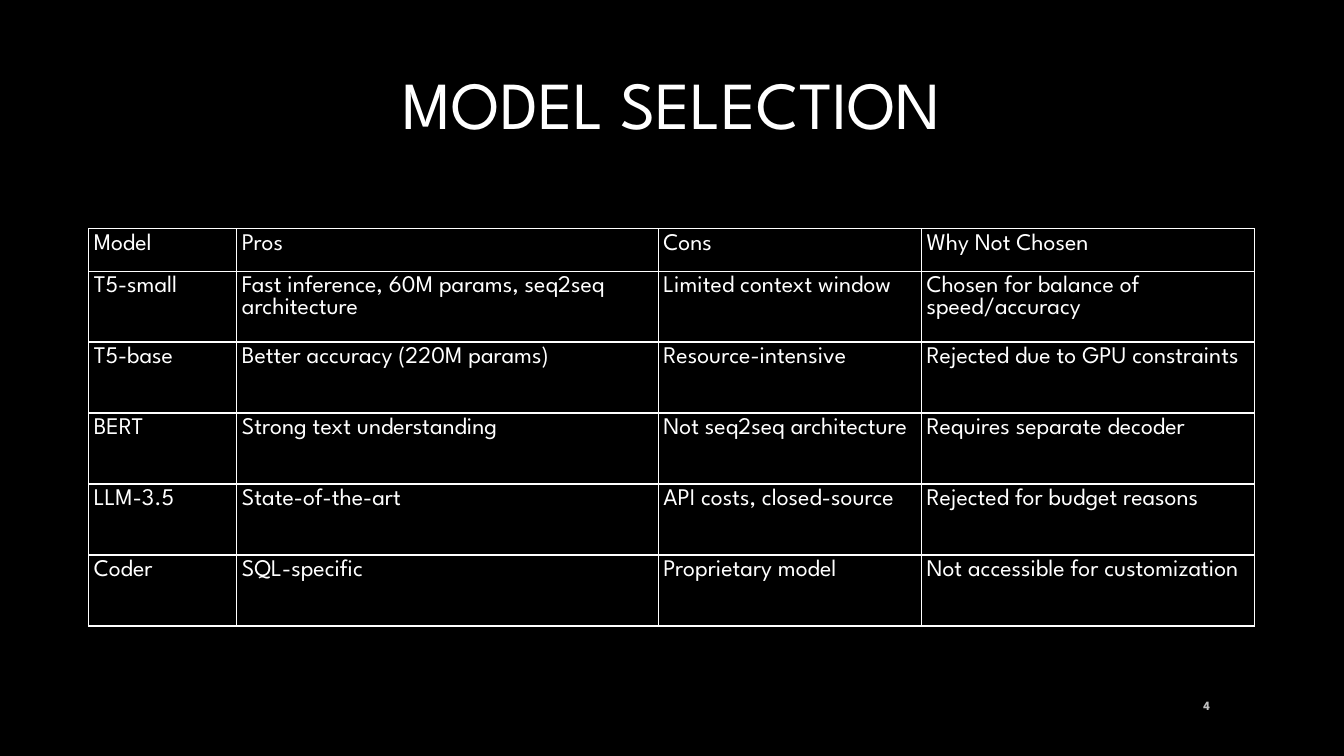
from dataclasses import dataclass

from lxml.etree import SubElement
from pptx import Presentation
from pptx.dml.color import RGBColor
from pptx.enum.text import MSO_ANCHOR, PP_ALIGN
from pptx.oxml import parse_xml
from pptx.oxml.ns import nsdecls, qn
from pptx.util import Inches, Pt


@dataclass(frozen=True)
class Theme:
    font: str = "League Spartan"
    background: str = "000000"
    text: str = "FFFFFF"
    muted: str = "BFBFBF"
    shadow: str = "808080"
    title_size: int = 48
    table_size: int = 17
    number_size: int = 9
    border_width: int = 1
    cell_margin: float = 0.05


THEME = Theme()

COLUMN_WIDTHS = (1.47, 4.18, 2.61, 3.3)
HEADER_HEIGHT = 0.42
ROWS = (
    ("Model", "Pros", "Cons", "Why Not Chosen"),
    ("T5-small", "Fast inference, 60M params, seq2seq architecture",
     "Limited context window", "Chosen for balance of speed/accuracy"),
    ("T5-base", "Better accuracy (220M params)",
     "Resource-intensive", "Rejected due to GPU constraints"),
    ("BERT", "Strong text understanding",
     "Not seq2seq architecture", "Requires separate decoder"),
    ("LLM-3.5", "State-of-the-art",
     "API costs, closed-source", "Rejected for budget reasons"),
    ("Coder", "SQL-specific",
     "Proprietary model", "Not accessible for customization"),
)


def style_paragraph(paragraph, size, color, bold=False):
    font = paragraph.font
    font.name = THEME.font
    font.size = Pt(size)
    font.bold = bold
    font.color.rgb = RGBColor.from_string(color)


def add_text(slide, box, text, size, color, align, anchor, bold=False):
    shape = slide.shapes.add_textbox(*map(Inches, box))
    frame = shape.text_frame
    frame.word_wrap = True
    frame.vertical_anchor = anchor
    paragraph = frame.paragraphs[0]
    paragraph.text = text
    paragraph.alignment = align
    style_paragraph(paragraph, size, color, bold)
    return paragraph


def add_title(slide, box, text):
    paragraph = add_text(slide, box, text, THEME.title_size, THEME.text,
                         PP_ALIGN.CENTER, MSO_ANCHOR.BOTTOM)
    paragraph.runs[0].font._element.append(parse_xml(
        f'<a:effectLst {nsdecls("a")}>'
        '<a:outerShdw blurRad="38100" dist="25400" dir="2700000">'
        f'<a:srgbClr val="{THEME.shadow}"><a:alpha val="60000"/></a:srgbClr>'
        '</a:outerShdw></a:effectLst>'))


def add_cell_borders(cell):
    properties = cell._tc.get_or_add_tcPr()
    for side in ("L", "R", "T", "B"):
        line = SubElement(properties, qn(f"a:ln{side}"), w=str(Pt(THEME.border_width)))
        fill = SubElement(line, qn("a:solidFill"))
        SubElement(fill, qn("a:srgbClr"), val=THEME.text)


def fill_cell(cell, text):
    add_cell_borders(cell)
    cell.fill.background()
    margin = Inches(THEME.cell_margin)
    cell.margin_left = cell.margin_right = margin
    cell.margin_top = cell.margin_bottom = margin
    cell.vertical_anchor = MSO_ANCHOR.TOP
    paragraph = cell.text_frame.paragraphs[0]
    paragraph.text = text
    style_paragraph(paragraph, THEME.table_size, THEME.text)


def add_model_table(slide, box):
    frame = slide.shapes.add_table(len(ROWS), len(COLUMN_WIDTHS), *map(Inches, box))
    table = frame.table
    table.first_row = False
    table.horz_banding = False
    for column, width in zip(table.columns, COLUMN_WIDTHS):
        column.width = Inches(width)
    body_height = (box[3] - HEADER_HEIGHT) / (len(ROWS) - 1)
    for index, (row, texts) in enumerate(zip(table.rows, ROWS)):
        row.height = Inches(body_height if index else HEADER_HEIGHT)
        for cell, text in zip(row.cells, texts):
            fill_cell(cell, text)


def add_page_number(slide, box, number):
    add_text(slide, box, number, THEME.number_size, THEME.muted,
             PP_ALIGN.RIGHT, MSO_ANCHOR.MIDDLE, bold=True)


def main():
    presentation = Presentation()
    presentation.slide_width = Inches(13.33)
    presentation.slide_height = Inches(7.5)
    slide = presentation.slides.add_slide(presentation.slide_layouts[6])
    background = slide.background.fill
    background.solid()
    background.fore_color.rgb = RGBColor.from_string(THEME.background)
    add_title(slide, (1.92, 0.3, 9.49, 1.17), "MODEL SELECTION")
    add_model_table(slide, (0.88, 2.27, sum(COLUMN_WIDTHS), 3.94))
    add_page_number(slide, (11.5, 6.8, 0.6, 0.4), "4")
    presentation.save("out.pptx")


if __name__ == "__main__":
    main()
